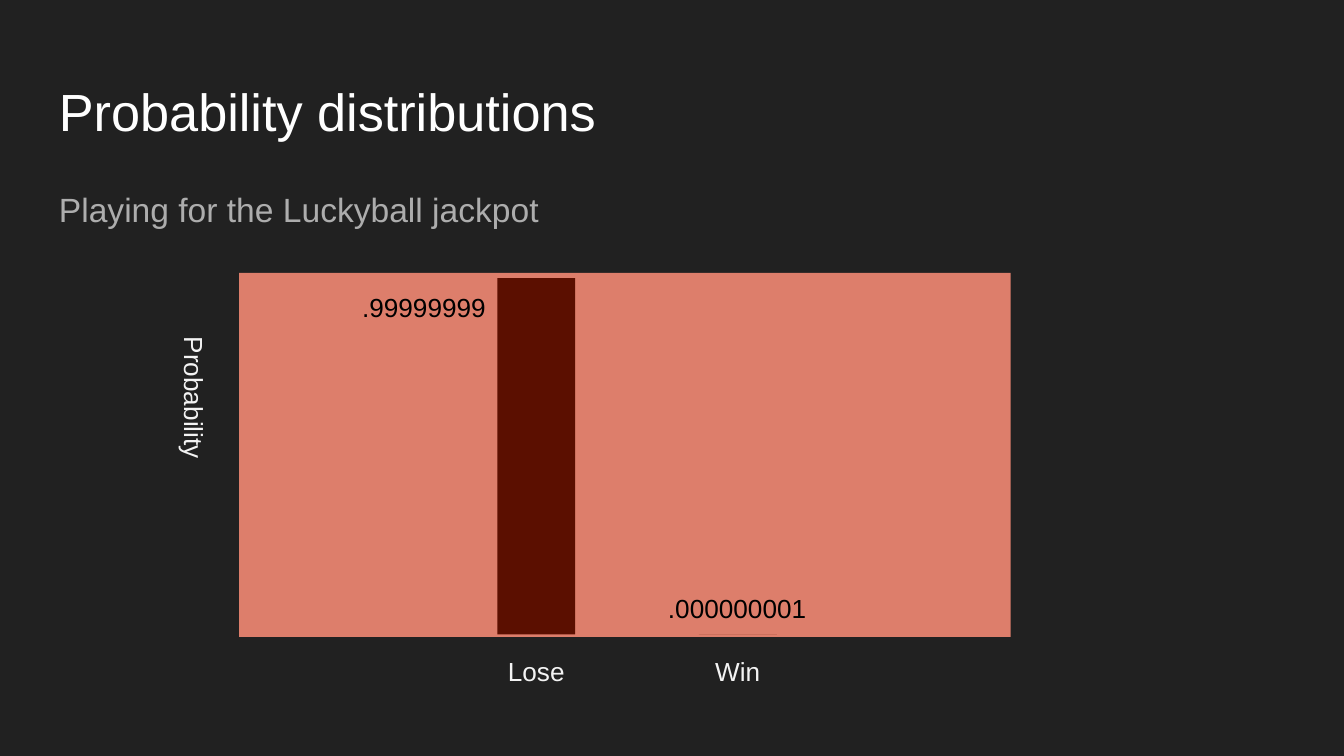
from pptx import Presentation
from pptx import util as u
from pptx.dml.color import RGBColor
from pptx.enum import shapes, text

# Content
TITLE = "Probability distributions"
SUBTITLE = "Playing for the Luckyball jackpot"
AXIS = "Probability"
# outcome, label width, bar left, bar height, value, value box (left, top, width)
OUTCOMES = [
    ("Lose", 1.29, 3.7, 2.65, ".99999999", (2.54, 2.07, 1.23)),
    ("Win", 1.06, 5.2, 0, ".000000001", (4.8, 4.31, 1.37)),
]

THEME = {
    "font": "Arial", "background": "212121", "panel": "DD7E6B", "bar": "5B0F00",
    "title": ("FFFFFF", 28), "subtitle": ("ADADAD", 18),
    "axis": ("F3F3F3", 14), "value": ("000000", 14),
}

# Layout in inches
PANEL = (1.78, 2.03, 5.74, 2.71)
BASELINE = 4.72
BAR_WIDTH = 0.58

# Widescreen slide, 16:9
prs = Presentation()
prs.slide_width = u.Inches(10)
prs.slide_height = u.Inches(10 * 9 / 16)
slide = prs.slides.add_slide(prs.slide_layouts[6])
slide.background.fill.solid()
slide.background.fill.fore_color.rgb = RGBColor.from_string(THEME["background"])


def add_block(box, color):
    block = slide.shapes.add_shape(shapes.MSO_SHAPE.RECTANGLE, *map(u.Inches, box))
    block.shadow.inherit = False
    block.fill.solid()
    block.fill.fore_color.rgb = RGBColor.from_string(THEME[color])
    block.line.fill.background()


def add_label(words, box, style, align=text.PP_ALIGN.CENTER, rotation=0):
    label = slide.shapes.add_textbox(*map(u.Inches, box))
    label.rotation = rotation
    frame = label.text_frame
    frame.word_wrap = True
    frame.margin_left = frame.margin_right = u.Inches(0.1)
    frame.margin_top = frame.margin_bottom = u.Inches(0.1)
    paragraph = frame.paragraphs[0]
    paragraph.text = words
    paragraph.alignment = align
    color, size = THEME[style]
    paragraph.font.name = THEME["font"]
    paragraph.font.size = u.Pt(size)
    paragraph.font.color.rgb = RGBColor.from_string(color)
    return paragraph


# Headings
add_label(TITLE, (0.34, 0.49, 9.32, 0.63), "title", text.PP_ALIGN.LEFT)
subtitle = add_label(SUBTITLE, (0.34, 1.26, 9.32, 0.63), "subtitle", text.PP_ALIGN.LEFT)
subtitle.line_spacing = 1.15
subtitle.space_after = u.Pt(16)

# Plot panel and axis title
add_block(PANEL, "panel")
add_label(AXIS, (0.64, 2.7, 1.53, 0.52), "axis", rotation=90)

# Bars with their values and outcomes
for outcome, width, left, height, value, (value_left, value_top, value_width) in OUTCOMES:
    add_block((left, BASELINE - height, BAR_WIDTH, height), "bar")
    add_label(value, (value_left, value_top, value_width, 0.38), "value")
    outcome_left = left + (BAR_WIDTH - width) / 2
    add_label(outcome, (outcome_left, 4.78, width, 0.64), "axis")

prs.save("out.pptx")
